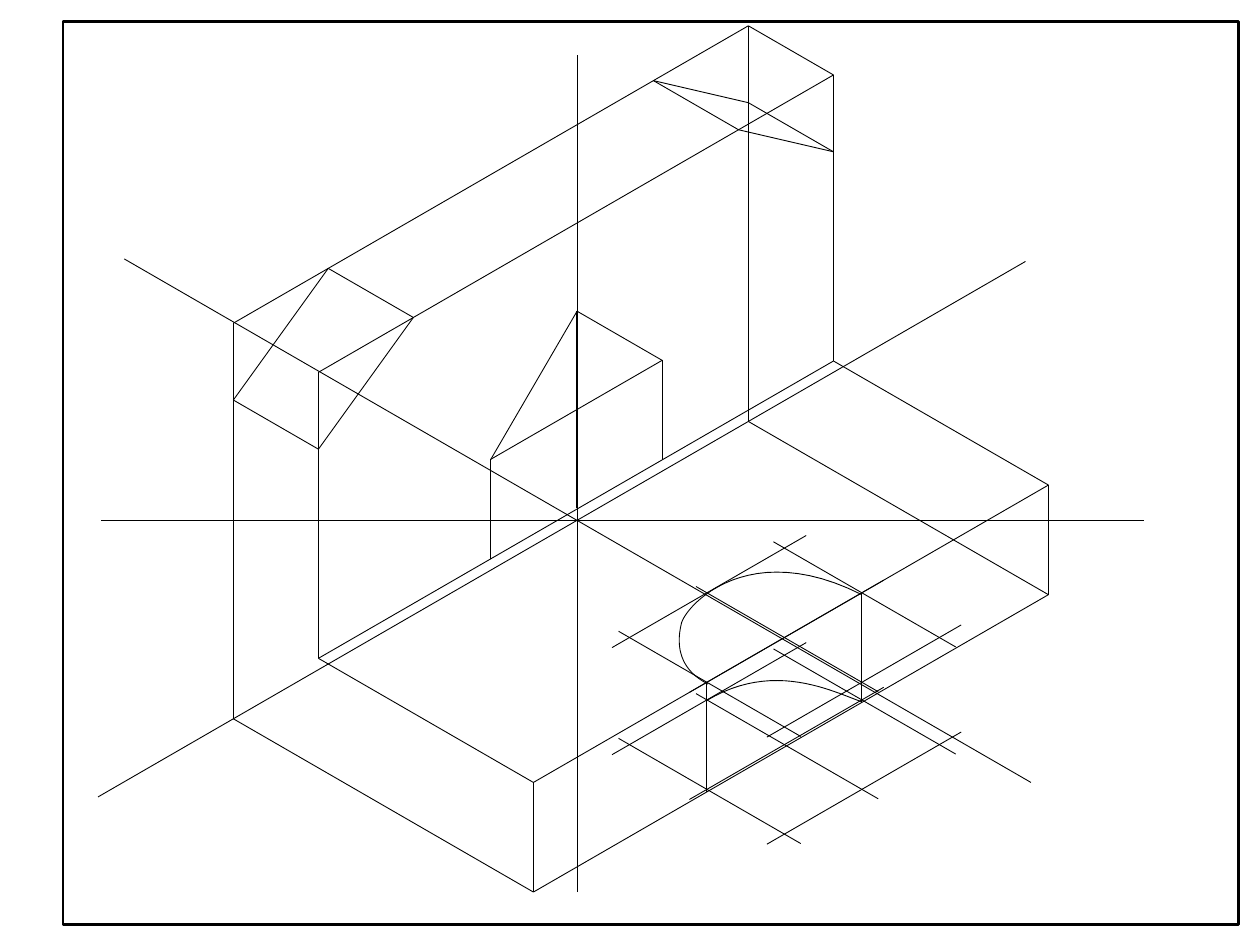
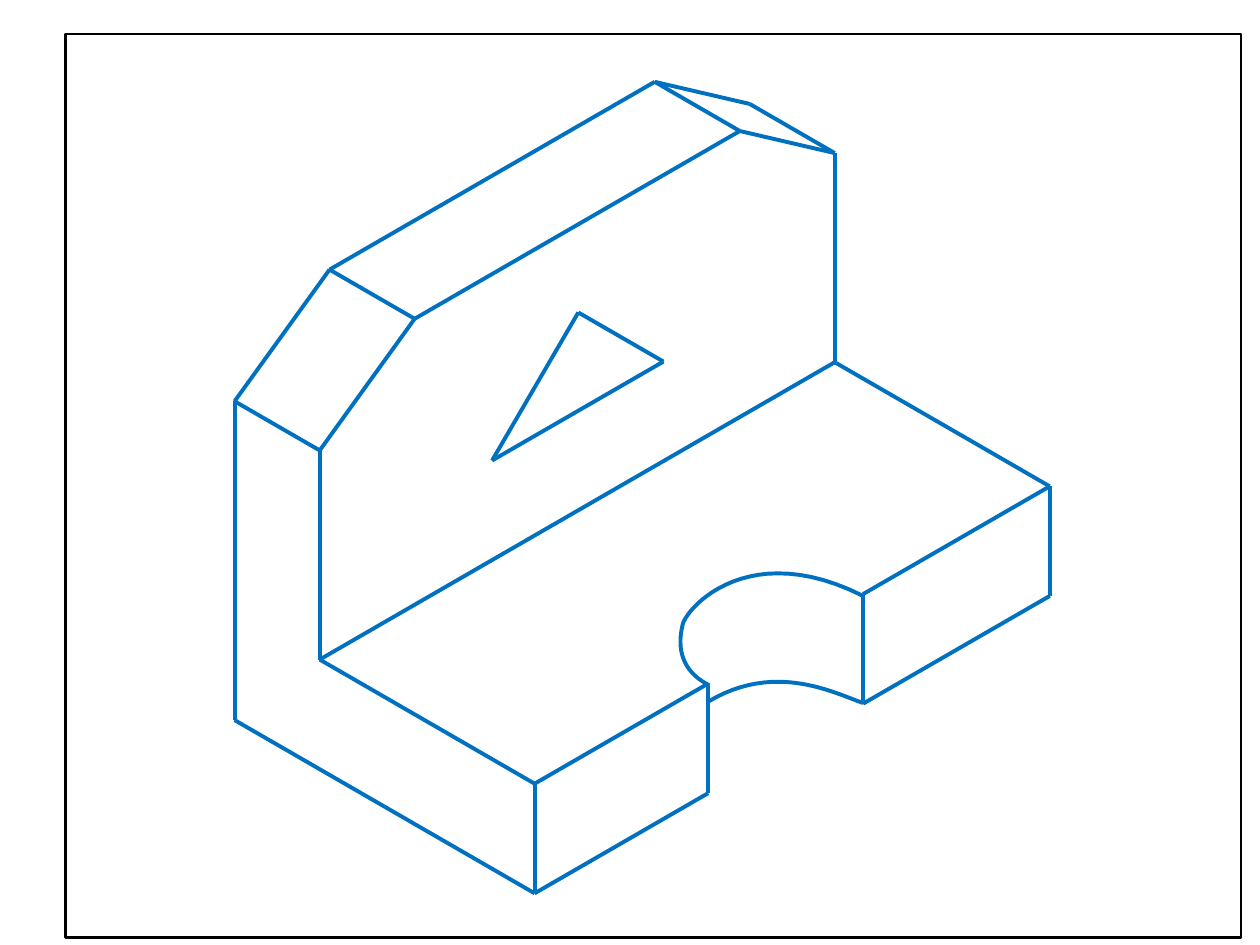
from math import cos, radians

from lxml import etree
from pptx import Presentation
from pptx.dml.color import RGBColor
from pptx.enum.shapes import MSO_CONNECTOR, MSO_SHAPE
from pptx.oxml.ns import qn
from pptx.util import Inches, Pt

STRAIGHT = MSO_CONNECTOR.STRAIGHT
RECTANGLE = MSO_SHAPE.RECTANGLE
BLACK = RGBColor(0x00, 0x00, 0x00)
BLUE = RGBColor(0x00, 0x70, 0xC0)
WHITE = RGBColor(0xFF, 0xFF, 0xFF)
COS_30 = cos(radians(30))

# Line styles
THIN = {"color": BLACK, "width": Pt(0.5)}
BORDER = {"color": BLACK, "width": Pt(1.5)}
BOLD = {"color": BLUE, "width": Pt(2.25)}

# Bracket in inches: x runs right-down, y right-up, z up
LEFT, RIGHT = -3.15, 1.57
DEPTH, WALL = 2.75, 0.78
BASE, HEIGHT = 0.87, 3.14
CHAMFER_RUN, CHAMFER_DROP = 0.87, 0.61
SLOT_MIDDLE, SLOT_RADIUS = -0.85, 0.71
SLOT_SIDES = (SLOT_MIDDLE - SLOT_RADIUS, SLOT_MIDDLE + SLOT_RADIUS)
NOTCH_LEFT, NOTCH_TOP = -1.57, 1.66

# Slot arcs: Bezier control points as screen offsets from the centre
LOWER_ARC = [[(1.03, 1.43), (1.56, 1.11), (2.03, 1.36), (2.26, 1.44)]]
UPPER_ARC = [[(1.04, 1.30), (0.99, 1.27), (0.74, 1.16), (0.83, 0.81)],
             [(0.83, 0.81), (0.88, 0.66), (1.37, 0.14), (2.26, 0.59)]]
ARC_STEPS = 24


def bracket_edges():
    """Edges that belong to both the construction and the finished drawing."""
    edges = [
        ((0, LEFT, 0), (DEPTH, LEFT, 0)),
        ((WALL, LEFT, BASE), (WALL, RIGHT, BASE)),
    ]
    for side, inward in ((LEFT, 1), (RIGHT, -1)):
        edges += [((DEPTH, side, 0), (DEPTH, side, BASE)),
                  ((WALL, side, BASE), (DEPTH, side, BASE))]
        # Chamfer face
        low = [(x, side, HEIGHT - CHAMFER_DROP) for x in (0, WALL)]
        high = [(x, side + inward * CHAMFER_RUN, HEIGHT) for x in (0, WALL)]
        edges += [tuple(low), tuple(high), *zip(low, high)]
    # Slot sides
    edges += [((DEPTH, y, 0), (DEPTH, y, BASE)) for y in SLOT_SIDES]
    # Triangular notch
    corner, tip = (WALL, NOTCH_LEFT, NOTCH_TOP), (WALL, 0, NOTCH_TOP)
    apex = (0, 0, NOTCH_TOP)
    return edges + [(corner, tip), (apex, corner), (apex, tip)]


def construction_lines():
    """Boxes, slot guides and axes."""
    lines = [((DEPTH, LEFT, z), (DEPTH, RIGHT, z)) for z in (0, BASE)]
    lines += [((0, RIGHT, 0), (DEPTH, RIGHT, 0)),
              ((0, RIGHT, HEIGHT), (WALL, RIGHT, HEIGHT))]
    for x, floor in ((0, 0), (WALL, BASE)):
        lines.append(((x, LEFT, HEIGHT), (x, RIGHT, HEIGHT)))
        lines += [((x, y, floor), (x, y, HEIGHT)) for y in (LEFT, RIGHT)]
    # Notch drop lines
    lines += [((WALL, y, BASE), (WALL, y, NOTCH_TOP)) for y in (NOTCH_LEFT, 0)]
    # Guides around the upper and lower slot arcs
    for z in (BASE, 0.02):
        for shift in (-SLOT_RADIUS, 0, SLOT_RADIUS):
            y, x = SLOT_MIDDLE + shift, DEPTH + shift
            lines += [((1.94, y, z), (3.61, y, z)),
                      ((x, -1.72, z), (x, 0.06, z))]
    # Axes, horizon and the doubled part of the upright
    return lines + [((0, -4.39, 0), (0, 4.11, 0)),
                    ((-4.15, 0, 0), (4.16, 0, 0)),
                    ((0, 0, -2.95), (0, 0, 3.69)),
                    ((-2.18, -2.18, 0), (2.6, 2.6, 0)),
                    ((-0.01, 0, 0.09), (-0.01, 0, NOTCH_TOP))]


def visible_edges():
    """Edges left after the chamfers and the slot are cut."""
    run = CHAMFER_RUN
    edges = [((0, LEFT, 0), (0, LEFT, HEIGHT - CHAMFER_DROP))]
    for x in (0, WALL):
        edges.append(((x, LEFT + run, HEIGHT), (x, RIGHT - run, HEIGHT)))
    for y in (LEFT, RIGHT):
        edges.append(((WALL, y, BASE), (WALL, y, HEIGHT - CHAMFER_DROP)))
    for z in (0, BASE):
        edges += [((DEPTH, LEFT, z), (DEPTH, SLOT_SIDES[0], z)),
                  ((DEPTH, SLOT_SIDES[1], z), (DEPTH, RIGHT, z))]
    return edges


def set_line(shape, style):
    shape.line.color.rgb = style["color"]
    shape.line.width = style["width"]


def project(point, centre):
    x, y, z = point
    return (Inches(centre[0] + (x + y) * COS_30),
            Inches(centre[1] + (x - y) / 2 - z))


def bezier(controls, t):
    weights = ((1 - t) ** 3, 3 * t * (1 - t) ** 2, 3 * t * t * (1 - t), t ** 3)
    return [sum(w * p[axis] for w, p in zip(weights, controls))
            for axis in (0, 1)]


def draw_frame(slide, left, top, width=9.33, height=7.17):
    frame = slide.shapes.add_shape(
        RECTANGLE, *map(Inches, (left, top, width, height)))
    frame.fill.background()
    frame.shadow.inherit = False
    set_line(frame, BORDER)


def draw_arc(slide, centre, curves, style):
    offsets = [bezier(curve, step / ARC_STEPS)
               for curve in curves for step in range(ARC_STEPS + 1)]
    points = [(Inches(centre[0] + dx), Inches(centre[1] + dy))
              for dx, dy in offsets]
    outline = slide.shapes.build_freeform(*points[0])
    outline.add_line_segments(points[1:], close=False)
    arc = outline.convert_to_shape()
    arc.fill.solid()
    arc.fill.fore_color.rgb = WHITE
    arc.shadow.inherit = False
    set_line(arc, style)


def draw_edge(slide, centre, start, end, style):
    edge = slide.shapes.add_connector(
        STRAIGHT, *project(start, centre), *project(end, centre))
    set_line(edge, style)
    etree.SubElement(edge._element.spPr, qn("a:effectLst"))


def draw_bracket(slide, centre, edges, style):
    for curves in (LOWER_ARC, UPPER_ARC):
        draw_arc(slide, centre, curves, style)
    for start, end in edges:
        draw_edge(slide, centre, start, end, style)


def main():
    deck = Presentation()
    deck.slide_width, deck.slide_height = Inches(10), Inches(7.5)
    blank = deck.slide_layouts[6]
    drawings = [
        ((0.5, 0.17), (4.58, 4.13), construction_lines(), THIN),
        ((0.52, 0.27), (4.59, 4.14), visible_edges(), BOLD),
    ]
    for corner, centre, own_edges, style in drawings:
        slide = deck.slides.add_slide(blank)
        draw_frame(slide, *corner)
        draw_bracket(slide, centre, bracket_edges() + own_edges, style)
    deck.save("out.pptx")


if __name__ == "__main__":
    main()
